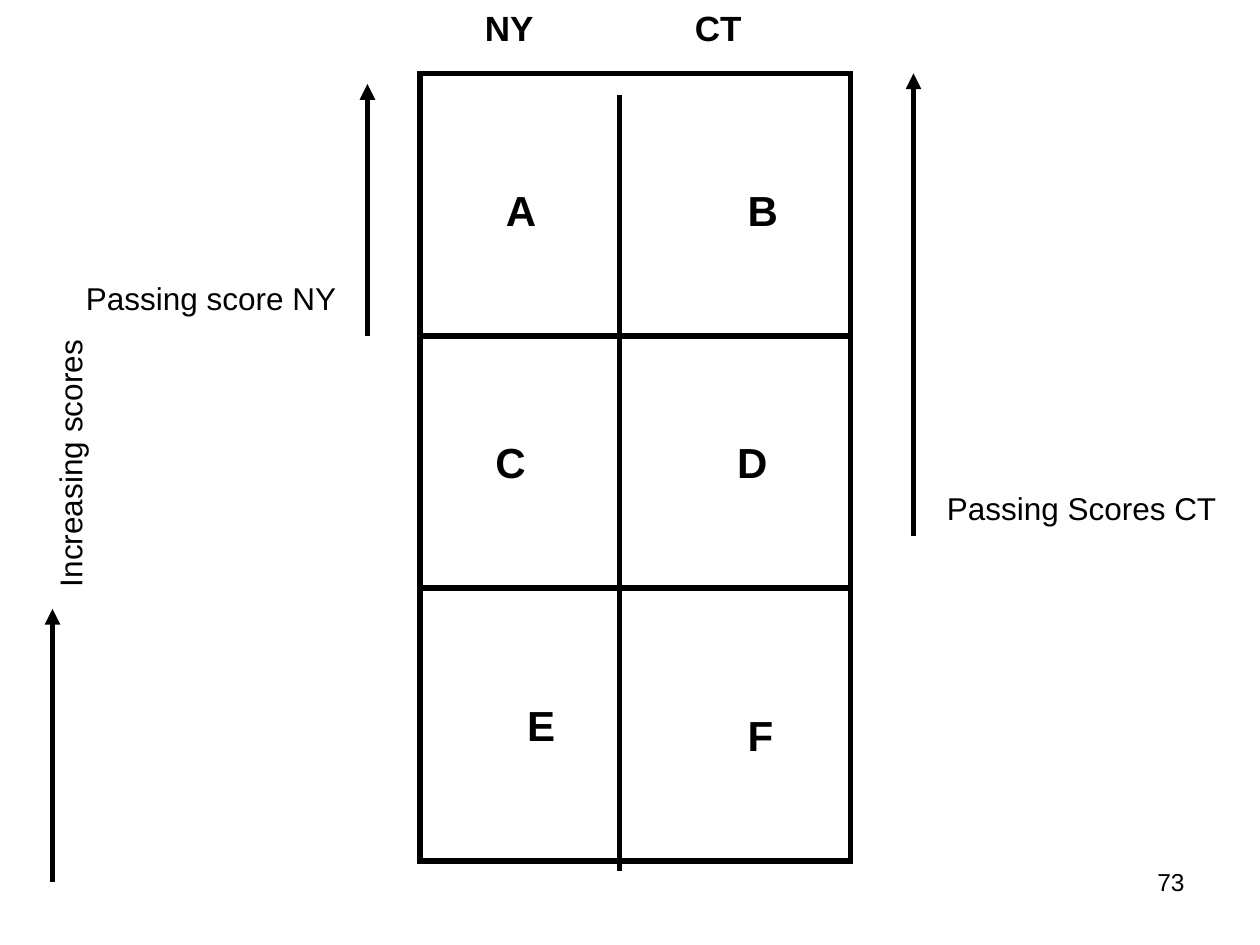
"""Build the NY and CT passing score grid slide."""
from lxml.etree import SubElement
from pptx import Presentation
from pptx.dml.color import RGBColor
from pptx.enum.shapes import MSO_CONNECTOR, MSO_SHAPE
from pptx.enum.text import PP_ALIGN
from pptx.oxml.ns import qn
from pptx.util import Pt

BLACK = RGBColor(0, 0, 0)
LEFT, TOP, WIDTH, HEIGHT = 240, 42, 246, 450


def add_line(s, x1, y1, x2, y2, arrow=False):
    line = s.shapes.add_connector(MSO_CONNECTOR.STRAIGHT, Pt(x1), Pt(y1), Pt(x2), Pt(y2))
    line.line.color.rgb = BLACK
    line.line.width = Pt(3)
    if arrow:
        SubElement(line.line._get_or_add_ln(), qn("a:tailEnd"), type="triangle")
    SubElement(line._element.spPr, qn("a:effectLst"))


def add_label(s, text, x, y, w, h, size, bold=False):
    box = s.shapes.add_textbox(Pt(x), Pt(y), Pt(w), Pt(h))
    tf = box.text_frame
    tf.word_wrap = True
    r = tf.paragraphs[0].add_run()
    r.text = text
    r.font.name = "Arial"
    r.font.size = Pt(size)
    r.font.bold = bold
    r.font.color.rgb = BLACK
    return box


prs = Presentation()
prs.slide_width, prs.slide_height = Pt(720), Pt(540)
s = prs.slides.add_slide(prs.slide_layouts[6])

frame = s.shapes.add_shape(MSO_SHAPE.RECTANGLE, Pt(LEFT), Pt(TOP), Pt(WIDTH), Pt(HEIGHT))
frame.shadow.inherit = False
frame.fill.background()
frame.line.color.rgb = BLACK
frame.line.width = Pt(3)
SubElement(frame.line._get_or_add_ln(), qn("a:miter"), lim="800000")

add_line(s, 354, 54, 354, 498)
for y in (192, 336):
    add_line(s, LEFT, y, LEFT + WIDTH, y)

for x, y1, y2 in ((30, 504, 348), (522, 306, 42), (210, 192, 48)):
    add_line(s, x, y1, x, y2, arrow=True)

for state, x in (("NY", 270), ("CT", 390)):
    add_label(s, state, x, 0, 44, 31.5, 20, bold=True)

for letter, x, y in (
    ("A", 282, 102), ("B", 420.2, 102),
    ("C", 276, 246), ("D", 414.2, 246),
    ("E", 294.2, 396), ("F", 420.2, 402),
):
    add_label(s, letter, x, y, 33, 36, 24, bold=True)

add_label(s, "Passing score NY", 42, 156, 180, 29, 18)
add_label(s, "Passing Scores CT", 534, 276, 172, 29, 18)
scores = add_label(s, "Increasing scores", -40, 248, 160, 29, 18)
scores.rotation = 270

number = add_label(s, "73", 516, 492, 168, 37.5, 14)
number.text_frame.paragraphs[0].alignment = PP_ALIGN.RIGHT

prs.save("out.pptx")
